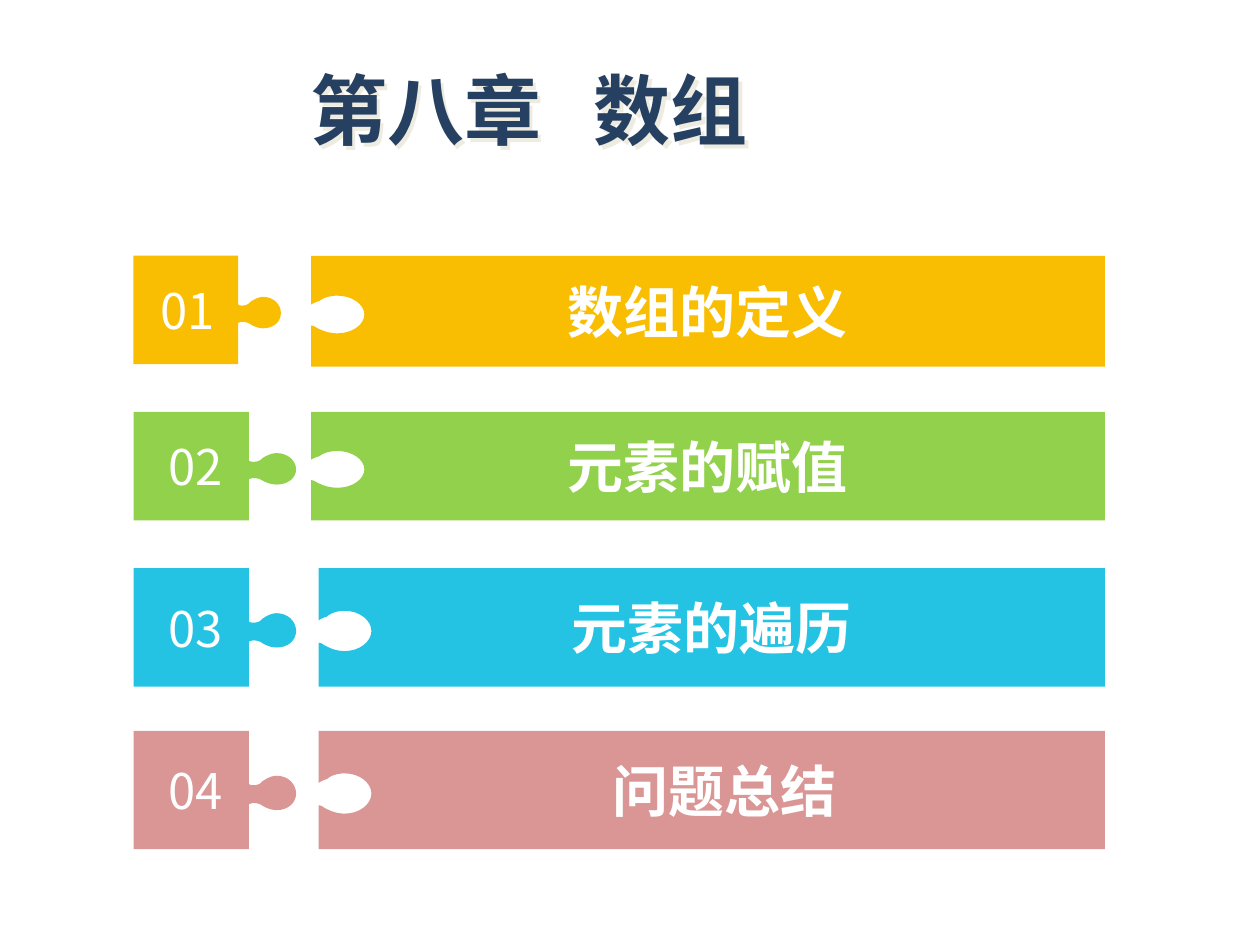
import lxml.etree
import pptx
import pptx.dml.color
import pptx.enum.text
import pptx.oxml.ns
import pptx.util

RGBColor = pptx.dml.color.RGBColor
NAVY = RGBColor(0x25, 0x40, 0x61)
WHITE = RGBColor(0xFF, 0xFF, 0xFF)
YELLOW = RGBColor(0xF9, 0xBE, 0x01)
GREEN = RGBColor(0x92, 0xD1, 0x4C)
BLUE = RGBColor(0x25, 0xC3, 0xE3)
PINK = RGBColor(0xD9, 0x96, 0x94)
TITLE_SHADOW = "EEECE1"
FONT = "Noto Sans CJK SC"
SLIDE_WIDTH, SLIDE_HEIGHT = 10, 7.5
UNITS_PER_INCH = 10000
CURVE_STEPS = 8

# Outlines in shares of the box; six numbers make a curve, two a straight line
TAB_OUTLINE = [
    (0, 0), (0.71, 0), (0.71, 0.45),
    (0.72, 0.46, 0.73, 0.46, 0.74, 0.46),
    (0.76, 0.46, 0.78, 0.45, 0.79, 0.43),
    (0.8, 0.42, 0.84, 0.38, 0.88, 0.38),
    (0.95, 0.38, 1, 0.45, 1, 0.53),
    (1, 0.61, 0.95, 0.67, 0.88, 0.67),
    (0.84, 0.67, 0.8, 0.64, 0.79, 0.63),
    (0.78, 0.62, 0.76, 0.61, 0.74, 0.61),
    (0.73, 0.61, 0.73, 0.61, 0.71, 0.62),
    (0.71, 1), (0, 1),
]
BAR_OUTLINE = [
    (1, 0), (1, 1), (0, 1), (0, 0.63),
    (0.003, 0.63, 0.005, 0.64, 0.007, 0.65),
    (0.01, 0.66, 0.02, 0.7, 0.033, 0.7),
    (0.052, 0.7, 0.067, 0.62, 0.067, 0.53),
    (0.067, 0.44, 0.052, 0.36, 0.033, 0.36),
    (0.023, 0.36, 0.015, 0.38, 0.01, 0.41),
    (0.008, 0.41, 0.002, 0.43, 0, 0.44),
    (0, 0),
]


def curve_points(start, curve):
    """Return points along a cubic curve."""
    controls = [start, curve[:2], curve[2:4], curve[4:]]
    points = []
    for step in range(1, CURVE_STEPS + 1):
        t = step / CURVE_STEPS
        weights = ((1 - t) ** 3, 3 * t * (1 - t) ** 2, 3 * t * t * (1 - t), t ** 3)
        points.append(tuple(
            sum(weight * point[axis] for weight, point in zip(weights, controls))
            for axis in (0, 1)))
    return points


def format_run(run, size, color, bold=False):
    run.font.name = FONT
    run.font.size = pptx.util.Pt(size)
    run.font.color.rgb = color
    run.font.bold = bold
    properties = run._r.get_or_add_rPr()
    east_asian = lxml.etree.SubElement(properties, pptx.oxml.ns.qn("a:ea"))
    east_asian.set("typeface", FONT)


def add_piece(slide, box, outline, color, text, size, bold, margins):
    """Draw one puzzle piece with centred text."""
    left, top, width, height = box
    points = [outline[0]]
    for segment in outline[1:]:
        if len(segment) == 2:
            points.append(segment)
        else:
            points.extend(curve_points(points[-1], segment))
    vertices = [(round((left + x * width) * UNITS_PER_INCH),
                 round((top + y * height) * UNITS_PER_INCH)) for x, y in points]
    builder = slide.shapes.build_freeform(
        *vertices[0], scale=pptx.util.Inches(1) / UNITS_PER_INCH)
    builder.add_line_segments(vertices[1:], close=True)
    shape = builder.convert_to_shape()
    shape.shadow.inherit = False
    shape.fill.solid()
    shape.fill.fore_color.rgb = color
    shape.line.fill.background()

    text_frame = shape.text_frame
    text_frame.word_wrap = True
    text_frame.vertical_anchor = pptx.enum.text.MSO_ANCHOR.MIDDLE
    text_frame.margin_left, text_frame.margin_right = map(pptx.util.Inches, margins)
    text_frame.text = text
    paragraph = text_frame.paragraphs[0]
    paragraph.alignment = pptx.enum.text.PP_ALIGN.CENTER
    format_run(paragraph.runs[0], size, WHITE, bold)


def add_title(slide, box, chapter, topic):
    """Place the chapter title with a soft text shadow."""
    shape = slide.shapes.add_textbox(*map(pptx.util.Inches, box))
    text_frame = shape.text_frame
    text_frame.word_wrap = True
    text_frame.margin_top = 0
    paragraph = text_frame.paragraphs[0]
    paragraph.alignment = pptx.enum.text.PP_ALIGN.CENTER
    paragraph.line_spacing = 0.9
    for text in (chapter, " ", topic):
        run = paragraph.add_run()
        run.text = text
        format_run(run, 44, NAVY, bold=True)
    # Widen the gap between chapter and topic
    paragraph.runs[1]._r.get_or_add_rPr().set("spc", "2000")

    qn = pptx.oxml.ns.qn
    effects = lxml.etree.SubElement(shape._element.spPr, qn("a:effectLst"))
    shadow = lxml.etree.SubElement(
        effects, qn("a:outerShdw"), dist="36000", dir="2700000", algn="ctr")
    lxml.etree.SubElement(shadow, qn("a:srgbClr"), val=TITLE_SHADOW)


def add_agenda_row(slide, box, tab, bar_offset, color, number, topic, indent):
    """Place a numbered tab and its topic bar in a row."""
    left, top, width, height = box
    tab_width, tab_height = tab
    tab_top = top + (height - tab_height) / 2 - 0.01 * (height > tab_height)
    add_piece(slide, (left, tab_top, tab_width, tab_height), TAB_OUTLINE,
              color, number, 28, False, (0, 0.31))
    add_piece(slide, (left + bar_offset, top, width - bar_offset, height),
              BAR_OUTLINE, color, topic, 32, True, (0.1 + indent, 0.1))


presentation = pptx.Presentation()
presentation.slide_width = pptx.util.Inches(SLIDE_WIDTH)
presentation.slide_height = pptx.util.Inches(SLIDE_HEIGHT)
slide = presentation.slides.add_slide(presentation.slide_layouts[6])

add_title(slide, (1.35, 0.58, 5.7, 0.74), "第八章", "数组")

# Top, height, tab size, bar offset, colour, topic, text indent
agenda = [
    (2.03, 0.88, (1.17, 0.86), 1.41, YELLOW, "数组的定义", 0),
    (3.27, 0.86, (1.29, 0.86), 1.41, GREEN, "元素的赋值", 0),
    (4.51, 0.94, (1.29, 0.94), 1.47, BLUE, "元素的遍历", 0),
    (5.8, 0.94, (1.29, 0.94), 1.47, PINK, "问题总结", 0.2),
]
for index, (top, height, tab, offset, color, topic, indent) in enumerate(agenda, 1):
    add_agenda_row(slide, (1.06, top, 7.71, height), tab, offset, color,
                   f"{index:02d}", topic, indent)

presentation.save("out.pptx")
